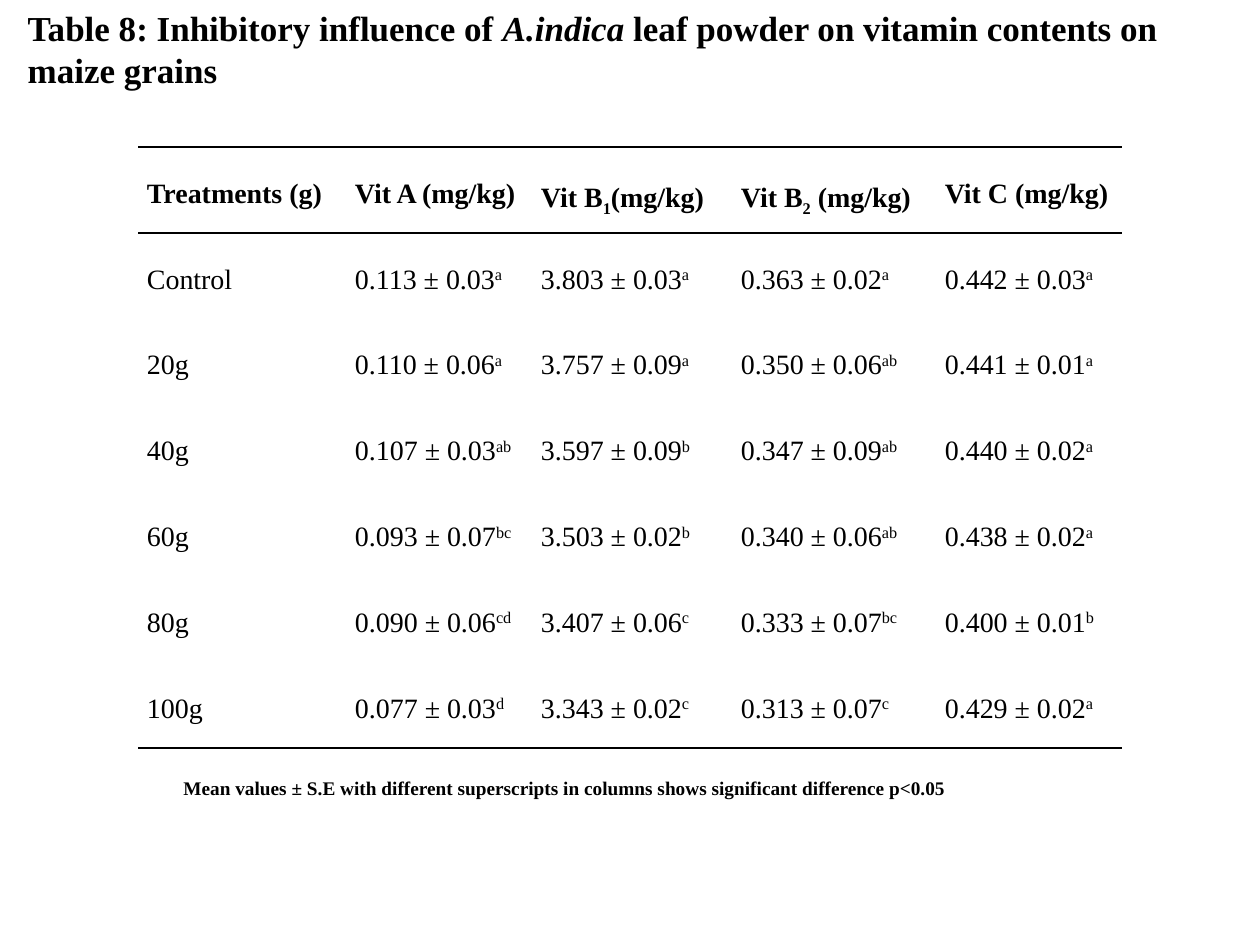
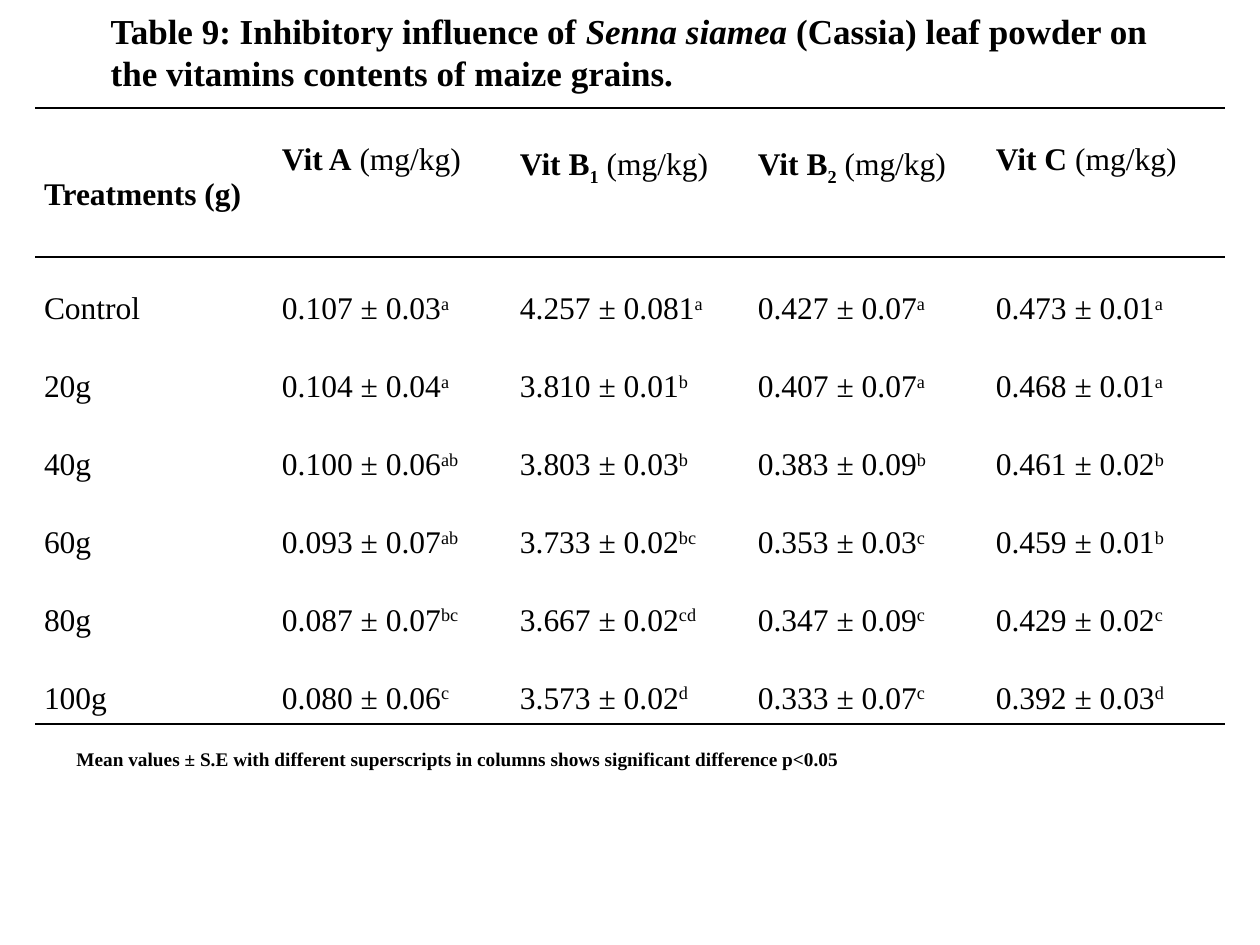
from lxml import etree
from pptx import Presentation
from pptx.dml.color import RGBColor
from pptx.enum.text import MSO_ANCHOR, MSO_AUTO_SIZE, PP_ALIGN
from pptx.oxml.ns import qn
from pptx.util import Emu, Pt

# Shared look
EMU_PER_PX = 914400 / 126
SLIDE_WIDTH, SLIDE_HEIGHT = 1260, 945
TITLE_ONLY = 5
FONT = "Times New Roman"
BLACK = "000000"
LEFT, JUSTIFY = PP_ALIGN.LEFT, PP_ALIGN.JUSTIFY
TOP, MIDDLE = MSO_ANCHOR.TOP, MSO_ANCHOR.MIDDLE
NO_AUTOFIT = MSO_AUTO_SIZE.NONE
SUPERSCRIPT, SUBSCRIPT = 30, -25
BORDER_WIDTH = Pt(1)
CELL_INSET = 9
NOTE = ("Mean values ± S.E with different superscripts in columns "
        "shows significant difference p<0.05")
TREATMENTS = ["Control", "20g", "40g", "60g", "80g", "100g"]
VITAMINS = [("Vit A", ""), ("Vit B", "1"), ("Vit B", "2"), ("Vit C", "")]

# Mean ± standard error ^ significance letters, one row per treatment
A_INDICA_ROWS = [
    ["0.113 ± 0.03^a", "3.803 ± 0.03^a", "0.363 ± 0.02^a", "0.442 ± 0.03^a"],
    ["0.110 ± 0.06^a", "3.757 ± 0.09^a", "0.350 ± 0.06^ab", "0.441 ± 0.01^a"],
    ["0.107 ± 0.03^ab", "3.597 ± 0.09^b", "0.347 ± 0.09^ab", "0.440 ± 0.02^a"],
    ["0.093 ± 0.07^bc", "3.503 ± 0.02^b", "0.340 ± 0.06^ab", "0.438 ± 0.02^a"],
    ["0.090 ± 0.06^cd", "3.407 ± 0.06^c", "0.333 ± 0.07^bc", "0.400 ± 0.01^b"],
    ["0.077 ± 0.03^d", "3.343 ± 0.02^c", "0.313 ± 0.07^c", "0.429 ± 0.02^a"],
]
SENNA_ROWS = [
    ["0.107 ± 0.03^a", "4.257 ± 0.081^a", "0.427 ± 0.07^a", "0.473 ± 0.01^a"],
    ["0.104 ± 0.04^a", "3.810 ± 0.01^b", "0.407 ± 0.07^a", "0.468 ± 0.01^a"],
    ["0.100 ± 0.06^ab", "3.803 ± 0.03^b", "0.383 ± 0.09^b", "0.461 ± 0.02^b"],
    ["0.093 ± 0.07^ab", "3.733 ± 0.02^bc", "0.353 ± 0.03^c", "0.459 ± 0.01^b"],
    ["0.087 ± 0.07^bc", "3.667 ± 0.02^cd", "0.347 ± 0.09^c", "0.429 ± 0.02^c"],
    ["0.080 ± 0.06^c", "3.573 ± 0.02^d", "0.333 ± 0.07^c", "0.392 ± 0.03^d"],
]


def px(length):
    return Emu(round(length * EMU_PER_PX))


def color(hex_string):
    return RGBColor.from_string(hex_string)


def add_text(paragraph, text, size, bold=False, italic=False, baseline=0):
    """Append one formatted run; baseline is a percentage shift."""
    run = paragraph.add_run()
    run.text = text
    font = run.font
    font.name, font.size = FONT, Pt(size)
    font.bold, font.italic = bold, italic
    font.color.rgb = color(BLACK)
    if baseline:
        run._r.get_or_add_rPr().set("baseline", str(baseline * 1000))


def add_title(slide, box, before, species, after, margin_top=6, margin_bottom=6):
    title = slide.shapes.title
    title.left, title.top, title.width, title.height = map(px, box)
    frame = title.text_frame
    frame.word_wrap, frame.auto_size = True, NO_AUTOFIT
    frame.vertical_anchor = MIDDLE
    frame.margin_top, frame.margin_bottom = px(margin_top), px(margin_bottom)
    paragraph = frame.paragraphs[0]
    paragraph.alignment = LEFT
    add_text(paragraph, before, 20, bold=True)
    add_text(paragraph, species, 20, bold=True, italic=True)
    add_text(paragraph, after, 20, bold=True)


def add_note(slide, box):
    frame = slide.shapes.add_textbox(*map(px, box)).text_frame
    frame.word_wrap = True
    add_text(frame.paragraphs[0], NOTE, 11, bold=True)


def set_borders(cell, top, bottom):
    """Rule the requested edges and clear the others."""
    properties = cell._tc.get_or_add_tcPr()
    edges = {"a:lnL": False, "a:lnR": False, "a:lnT": top, "a:lnB": bottom}
    for tag, ruled in edges.items():
        line = etree.SubElement(properties, qn(tag), w=str(BORDER_WIDTH))
        fill = etree.SubElement(line, qn("a:solidFill" if ruled else "a:noFill"))
        if ruled:
            etree.SubElement(fill, qn("a:srgbClr"), val=BLACK)


def format_cell(cell, top, bottom):
    """Prepare an empty cell and return its paragraph."""
    set_borders(cell, top, bottom)
    cell.fill.background()
    cell.vertical_anchor = TOP
    cell.margin_left = cell.margin_right = px(CELL_INSET)
    cell.margin_top = cell.margin_bottom = 0
    paragraph = cell.text_frame.paragraphs[0]
    paragraph.alignment = JUSTIFY
    paragraph.line_spacing = 2.0
    return paragraph


def add_vitamin_table(slide, left, top, column_widths, height, header_height,
                      rows, size, units, bold_units, label_drop=0):
    row_count = len(rows) + 1
    table = slide.shapes.add_table(
        row_count, len(column_widths), px(left), px(top),
        px(sum(column_widths)), px(height)).table
    table.first_row = table.horz_banding = False
    for column, width in zip(table.columns, column_widths):
        column.width = px(width)
    body_height = (height - header_height) / len(rows)
    for index, row in enumerate(table.rows):
        row.height = px(body_height if index else header_height)

    paragraphs = [
        [format_cell(cell, index <= 1, index in (0, row_count - 1))
         for cell in row.cells]
        for index, row in enumerate(table.rows)]

    # Header
    add_text(paragraphs[0][0], "Treatments (g)", size, bold=True)
    table.cell(0, 0).margin_top = px(label_drop)
    for paragraph, (name, number), unit in zip(paragraphs[0][1:], VITAMINS, units):
        add_text(paragraph, name, size, bold=True)
        if number:
            add_text(paragraph, number, size, bold=True, baseline=SUBSCRIPT)
        add_text(paragraph, unit, size, bold=bold_units)

    # Measurements
    for line, treatment, values in zip(paragraphs[1:], TREATMENTS, rows):
        add_text(line[0], treatment, size)
        for paragraph, value in zip(line[1:], values):
            mean, letters = value.split("^")
            add_text(paragraph, mean, size)
            add_text(paragraph, letters, size, baseline=SUPERSCRIPT)


def main():
    presentation = Presentation()
    presentation.slide_width = px(SLIDE_WIDTH)
    presentation.slide_height = px(SLIDE_HEIGHT)
    layout = presentation.slide_layouts[TITLE_ONLY]
    unit = " (mg/kg)"

    # Table 8
    slide = presentation.slides.add_slide(layout)
    add_title(slide, (15, 0, 1245, 97), "Table 8: Inhibitory influence of ",
              "A.indica", " leaf powder on vitamin contents on maize grains")
    add_vitamin_table(slide, 138, 147, [208, 186, 200, 204, 186], 601, 86,
                      A_INDICA_ROWS, size=16,
                      units=[unit, "(mg/kg)", unit, unit], bold_units=True)
    add_note(slide, (171, 770, 932, 37))

    # Table 9
    slide = presentation.slides.add_slide(layout)
    add_title(slide, (98, -10, 1082, 141), "Table 9: Inhibitory influence of ",
              "Senna siamea",
              " (Cassia) leaf powder on the vitamins contents of maize grains.",
              margin_top=18, margin_bottom=36)
    add_vitamin_table(slide, 35, 108, [238] * 5, 616, 149,
                      SENNA_ROWS, size=18, units=[unit] * 4,
                      bold_units=False, label_drop=35)
    add_note(slide, (64, 741, 1091, 37))

    presentation.save("out.pptx")


if __name__ == "__main__":
    main()
